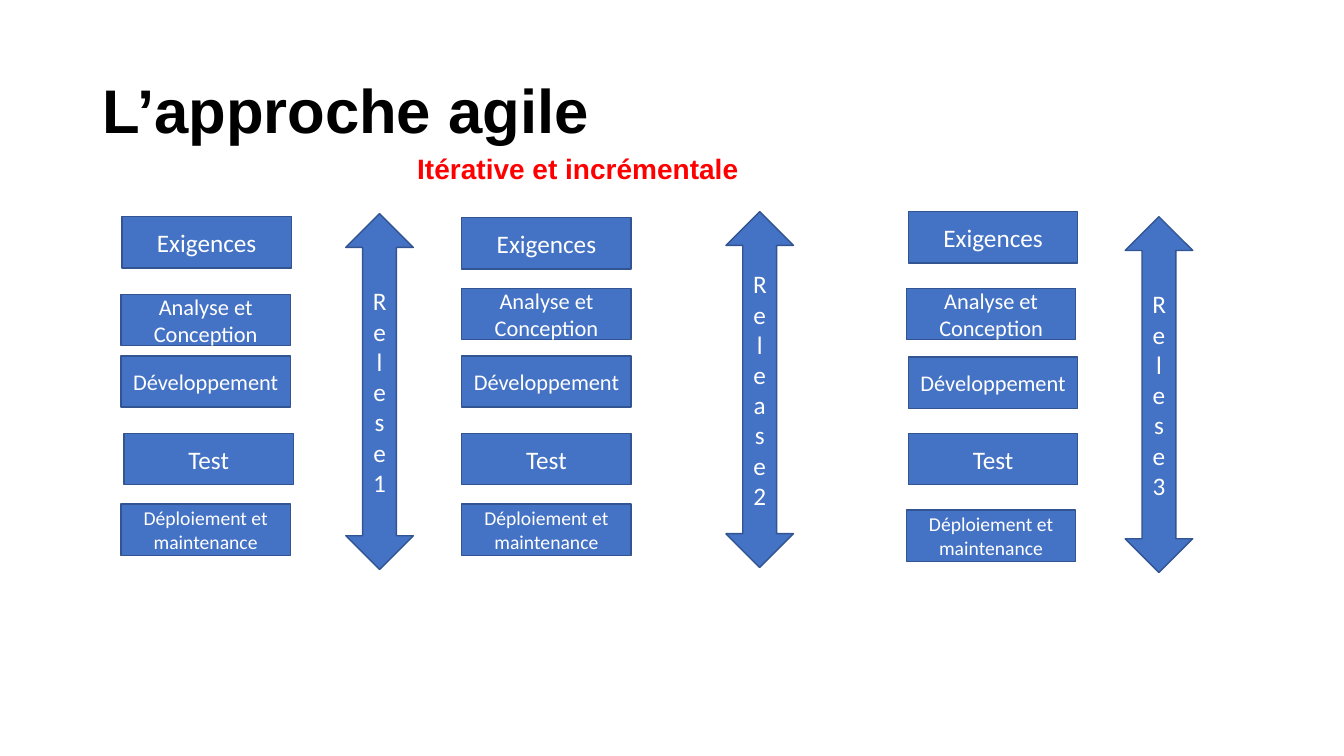
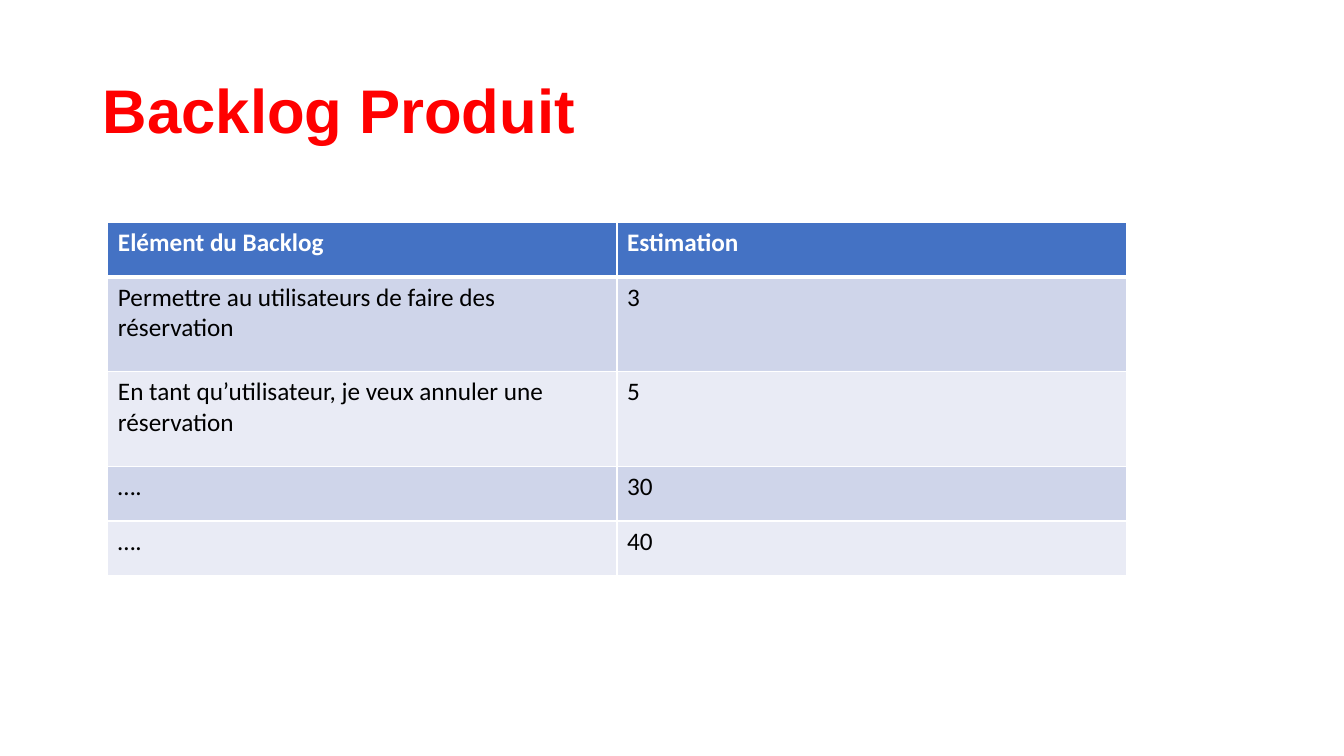
from lxml.etree import SubElement
from pptx import Presentation
from pptx.dml.color import RGBColor
from pptx.enum.shapes import MSO_SHAPE
from pptx.enum.text import MSO_ANCHOR, MSO_AUTO_SIZE, PP_ALIGN
from pptx.oxml.ns import qn
from pptx.util import Inches, Pt

BLUE, DARK_BLUE = "4472C4", "325491"
BLACK, WHITE, RED = "000000", "FFFFFF", "FF0000"
BANDS = ("CFD5EA", "E9EBF5")
HEADING_FONT, BODY_FONT = "Arial", "Calibri"


def color(value):
    return RGBColor.from_string(value)


def place(*lengths):
    return [Inches(length) for length in lengths]


class Deck:
    """Shared style and the slide being built."""

    def __init__(self):
        self.presentation = Presentation()
        self.presentation.slide_width = Inches(13.33)
        self.presentation.slide_height = Inches(7.5)
        self.page = None

    def add_text(self, frame, text, size, ink, font=BODY_FONT, bold=False,
                 align=PP_ALIGN.LEFT):
        para = frame.paragraphs[0]
        para.alignment = align
        span = para.add_run()
        span.text = text
        span.font.color.rgb = color(ink)
        settings = {"name": font, "size": Pt(size), "bold": bold}
        for name, value in settings.items():
            setattr(span.font, name, value)
        return para

    def add_page(self, title, ink=BLACK):
        layout = self.presentation.slide_layouts.get_by_name("Title Only")
        self.page = self.presentation.slides.add_slide(layout)
        box = self.page.shapes.title
        bounds = place(0.92, 0.4, 11.5, 1.45)
        for name, value in zip(("left", "top", "width", "height"), bounds):
            setattr(box, name, value)
        frame = box.text_frame
        frame.auto_size = MSO_AUTO_SIZE.NONE
        frame.vertical_anchor = MSO_ANCHOR.MIDDLE
        para = self.add_text(frame, title, 44, ink, HEADING_FONT, True)
        para.line_spacing = 0.9

    def add_caption(self, text, bounds):
        box = self.page.shapes.add_textbox(*place(*bounds))
        box.text_frame.word_wrap = True
        self.add_text(box.text_frame, text, 20, RED, HEADING_FONT, True)

    def add_block(self, kind, text, bounds, size=18):
        box = self.page.shapes.add_shape(kind, *place(*bounds))
        box.shadow.inherit = False
        box.fill.solid()
        box.fill.fore_color.rgb = color(BLUE)
        box.line.color.rgb = color(DARK_BLUE)
        box.line.width = Pt(1)
        box.text_frame.word_wrap = True
        box.text_frame.vertical_anchor = MSO_ANCHOR.MIDDLE
        self.add_text(box.text_frame, text, size, WHITE,
                      align=PP_ALIGN.CENTER)

    def add_border(self, cell, side, width):
        properties = cell._tc.get_or_add_tcPr()
        line = SubElement(properties, qn(f"a:ln{side}"), w=str(Pt(width)))
        fill = SubElement(line, qn("a:solidFill"))
        SubElement(fill, qn("a:srgbClr"), val=WHITE)

    def add_table(self, rows, left, top, widths, heights):
        bounds = place(left, top, sum(widths), sum(heights))
        table = self.page.shapes.add_table(
            len(rows), len(widths), *bounds).table
        for column, width in zip(table.columns, widths):
            column.width = Inches(width)
        for number, (texts, height) in enumerate(zip(rows, heights)):
            table.rows[number].height = Inches(height)
            header = number == 0
            # A thick rule parts the header from the banded rows
            borders = {"L": 1, "R": 1, "T": 3 if number == 1 else 1,
                       "B": 3 if header else 1}
            for index, text in enumerate(texts):
                cell = table.cell(number, index)
                for side, width in borders.items():
                    self.add_border(cell, side, width)
                cell.fill.solid()
                cell.fill.fore_color.rgb = color(
                    BLUE if header else BANDS[(number - 1) % 2])
                self.add_text(cell.text_frame, text, 18,
                              WHITE if header else BLACK, bold=header)


def build_approach(deck):
    deck.add_page("L’approche agile")

    # Each step: text size, then left and top in the three releases
    steps = {
        "Exigences": (18, (1.21, 2.15), (4.58, 2.16), (9.01, 2.1)),
        "Analyse et Conception": (16, (1.2, 2.92), (4.58, 2.86), (8.99, 2.86)),
        "Développement": (16, (1.2, 3.53), (4.58, 3.53), (9.01, 3.54)),
        "Test": (18, (1.23, 4.3), (4.58, 4.3), (9.01, 4.3)),
        "Déploiement et maintenance": (14, (1.2, 5), (4.58, 5), (8.99, 5.06)),
    }
    for step, (size, *spots) in steps.items():
        for left, top in spots:
            deck.add_block(MSO_SHAPE.RECTANGLE, step,
                           (left, top, 1.68, 0.51), size)

    # Release arrows
    releases = {"Relese 1": (3.43, 2.12), "Release2": (7.2, 2.1),
                "Relese 3": (11.16, 2.15)}
    for release, (left, top) in releases.items():
        deck.add_block(MSO_SHAPE.UP_DOWN_ARROW, release,
                       (left, top, 0.67, 3.53))

    deck.add_caption("Itérative et incrémentale", (4.04, 1.45, 3.47, 0.44))


def build_backlog(deck):
    deck.add_page("Backlog Produit", RED)
    rows = [
        ("Elément du Backlog", "Estimation"),
        ("Permettre au utilisateurs de faire des réservation", "3"),
        ("En tant qu’utilisateur, je veux annuler une réservation", "5"),
        ("….", "30"),
        ("….", "40"),
    ]
    deck.add_table(rows, 1.07, 2.21, widths=(5.05, 5.05),
                   heights=(0.54, 0.94, 0.94, 0.54, 0.54))


def main():
    deck = Deck()
    build_approach(deck)
    build_backlog(deck)
    deck.presentation.save("out.pptx")


if __name__ == "__main__":
    main()
